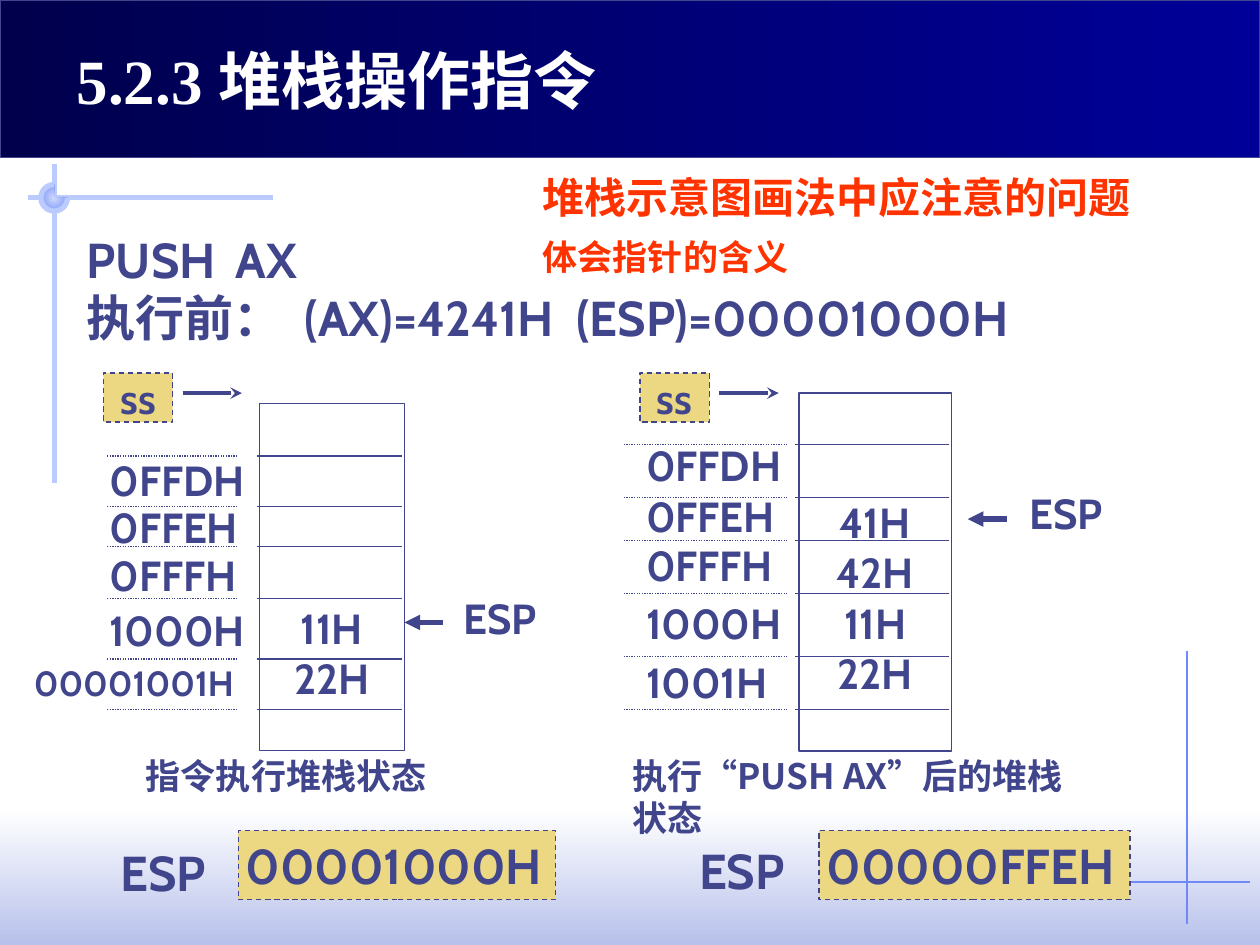
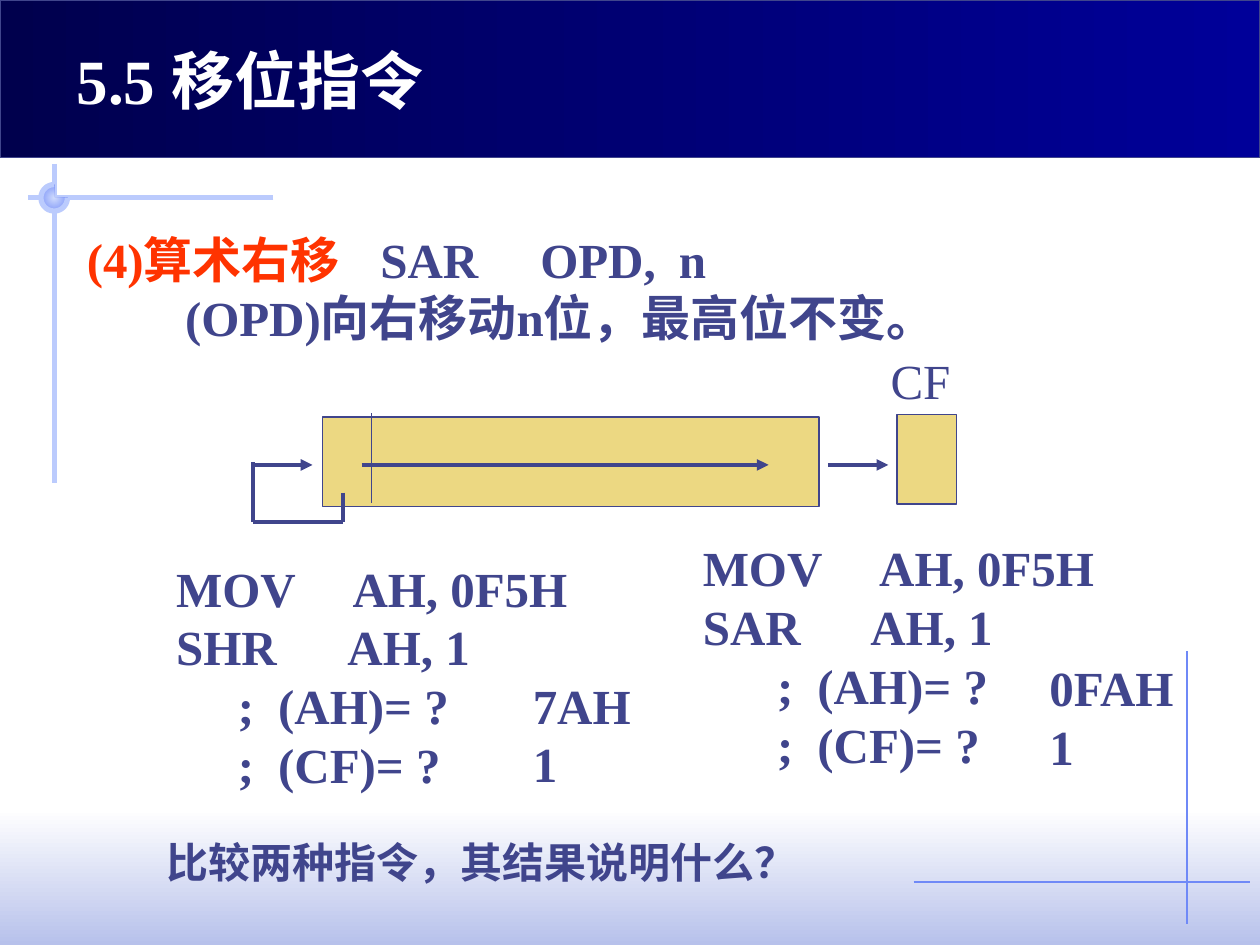
from math import cos, pi, sin

from lxml.etree import SubElement
from pptx import Presentation
from pptx.dml.color import RGBColor
from pptx.enum.dml import MSO_LINE
from pptx.enum.shapes import MSO_CONNECTOR, MSO_SHAPE
from pptx.enum.text import MSO_ANCHOR, PP_ALIGN
from pptx.oxml.ns import qn
from pptx.util import Inches, Pt

INK, RED, WHITE, GOLD = "40458C", "FF3300", "FFFFFF", "ECD882"
RULE, PALE, SOFT = "6F89F7", "BBCBFD", "CFDBFD"
SERIF, SANS, CJK = "Times New Roman", "Cabin", "Noto Sans CJK SC"


def rgb(code):
    """Turn a hex string into a colour."""
    return RGBColor.from_string(code)


def style_run(span, size, font, color, bold):
    """Set the size, typefaces, colour and weight of a run."""
    span.font.size = Pt(size)
    span.font.name = font
    span.font.bold = bold
    span.font.color.rgb = rgb(color)
    properties = span.font._element
    east_asian = SubElement(properties, qn("a:ea"))
    east_asian.set("typeface", CJK)


def set_tabs(para, stops):
    """Give a paragraph left tab stops, in inches."""
    tab_list = SubElement(para._p.get_or_add_pPr(), qn("a:tabLst"))
    for stop in stops:
        SubElement(tab_list, qn("a:tab"), pos=str(Inches(stop)), algn="l")


def write(shape, lines, size, font=SANS, color=INK, bold=True,
          align=PP_ALIGN.LEFT, tabs=()):
    """Fill a shape with lines; tabs holds the tab stops of each line."""
    frame = shape.text_frame
    frame.text = "\n".join(lines)
    for index, para in enumerate(frame.paragraphs):
        if index < len(tabs):
            set_tabs(para, tabs[index])
        para.alignment = align
        para.line_spacing = Pt(size * 1.2)
        for span in para.runs:
            style_run(span, size, font, color, bold)


def add_text(page, left, top, width, lines, size, **style):
    """Add a wrapping text box as tall as its lines."""
    height = 0.1 + len(lines) * size / 60
    box = page.shapes.add_textbox(Inches(left), Inches(top),
                                  Inches(width), Inches(height))
    box.text_frame.word_wrap = True
    write(box, lines, size, **style)
    return box


def add_box(page, left, top, width, height, fill=None, line=INK, dash=None):
    """Add a rectangle with an optional plain fill and outline."""
    box = page.shapes.add_shape(MSO_SHAPE.RECTANGLE, Inches(left), Inches(top),
                                Inches(width), Inches(height))
    box.shadow.inherit = False
    if fill:
        box.fill.solid()
        box.fill.fore_color.rgb = rgb(fill)
    if line:
        box.line.color.rgb = rgb(line)
        box.line.width = Pt(0.75)
        box.line.dash_style = dash
    else:
        box.line.fill.background()
    return box


def add_line(page, start, end, color=INK, width=0.75, dash=None, arrow=None):
    """Draw a straight line, with an optional arrowhead at its end."""
    line = page.shapes.add_connector(MSO_CONNECTOR.STRAIGHT,
                                     *map(Inches, (*start, *end)))
    line.line.color.rgb = rgb(color)
    line.line.width = Pt(width)
    line.line.dash_style = dash
    if arrow:
        SubElement(line.line._get_or_add_ln(), qn("a:tailEnd"), type=arrow)
    SubElement(line._element.spPr, qn("a:effectLst"))


def fill_gradient(shape, first, last, angle=0, radial=False):
    """Fill a shape with a linear gradient or one from its centre."""
    shape.fill.gradient()
    for stop, color in zip(shape.fill.gradient_stops, (first, last)):
        stop.color.rgb = rgb(color)
    shape.fill.gradient_angle = angle
    if radial:
        gradient = shape._element.spPr.find(qn("a:gradFill"))
        gradient.remove(gradient.find(qn("a:lin")))
        shade = SubElement(gradient, qn("a:path"), path="circle")
        SubElement(shade, qn("a:fillToRect"),
                   **{side: "50000" for side in "ltrb"})


def add_three_quarters(page, center, radius, closed):
    """Draw three quarters of a circle, as a pie or as an open arc."""
    x, y = center
    points = [(Inches(x + radius * cos(angle)), Inches(y - radius * sin(angle)))
              for angle in (pi / 2 + step * pi / 32 for step in range(49))]
    if closed:
        points.append((Inches(x), Inches(y)))
    builder = page.shapes.build_freeform(*points[0])
    builder.add_line_segments(points[1:], close=closed)
    shape = builder.convert_to_shape()
    shape.shadow.inherit = False
    return shape


def add_page(deck, title):
    """Add a page with the shared band, rules, node and title."""
    page = deck.slides.add_slide(deck.slide_layouts[6])
    glow = add_box(page, 0, 6.42, 10, 1.08, line=None)
    fill_gradient(glow, WHITE, "B7C1EB", angle=270)
    add_line(page, (9.42, 5.17), (9.42, 7.33), RULE)
    add_line(page, (7.25, 7), (9.92, 7), RULE)
    add_line(page, (2.17, 1.57), (0.22, 1.57), PALE, 3)
    add_line(page, (0.43, 1.3), (0.43, 3.83), PALE, 3)
    node = add_three_quarters(page, (0.43, 1.57), 0.105, closed=True)
    fill_gradient(node, SOFT, RULE, radial=True)
    node.line.fill.background()
    ring = add_three_quarters(page, (0.43, 1.57), 0.105, closed=False)
    ring.fill.background()
    ring.line.color.rgb = rgb(PALE)
    ring.line.width = Pt(3)
    band = add_box(page, 0, 0, 10, 1.25)
    fill_gradient(band, "00004D", "000099")
    add_text(page, 0.51, 0.28, 7.4, [title], 36, font=SERIF, color=WHITE)
    return page


def add_stack(page, frame, rows, cells, values, bottom, guides):
    """Draw the stack column with its row lines, guides and values."""
    column = add_box(page, *frame, fill=WHITE)
    column.text_frame.vertical_anchor = MSO_ANCHOR.BOTTOM
    column.text_frame.margin_bottom = Inches(bottom)
    write(column, values, 24, align=PP_ALIGN.CENTER)
    for row in rows:
        add_line(page, (cells[0], row), (cells[1], row))
        add_line(page, (guides[0], row), (guides[1], row),
                 dash=MSO_LINE.ROUND_DOT)


def add_segment(page, left):
    """Add the stack segment tag and its arrow."""
    tag = add_box(page, left, 2.96, 0.55, 0.39, GOLD, dash=MSO_LINE.DASH)
    tag.text_frame.word_wrap = False
    tag.text_frame.vertical_anchor = MSO_ANCHOR.MIDDLE
    write(tag, ["ss"], 24, align=PP_ALIGN.CENTER)
    add_line(page, (left + 0.63, 3.12), (left + 1.1, 3.12), width=2.25,
             arrow="stealth")


def add_addresses(page, left, tops):
    """Label stack rows with their addresses."""
    for address, top in tops.items():
        add_text(page, left, top, 1.5, [address], 24)


def add_pointer(page, tip, y, label_left, label_top):
    """Mark the row that ESP points at."""
    add_line(page, (tip + 0.31, y), (tip, y), width=3, arrow="triangle")
    add_text(page, label_left, label_top, 0.95, ["ESP"], 24)


def add_register(page, label_left, label_top, left, width, value):
    """Show the value of ESP in a dashed box."""
    add_text(page, label_left, label_top, 1.02, ["ESP"], 28)
    box = add_box(page, left, 6.59, width, 0.55, GOLD, dash=MSO_LINE.DASH)
    box.text_frame.margin_left = Inches(0.06)
    box.text_frame.margin_right = 0
    box.text_frame.vertical_anchor = MSO_ANCHOR.MIDDLE
    write(box, [value], 28)


def build_stack_page(deck):
    """Build the page that compares the stack before and after PUSH."""
    page = add_page(deck, "5.2.3 堆栈操作指令")
    add_text(page, 0.59, 1.77, 8.38,
             ["PUSH\tAX", "执行前：\t(AX)=4241H\t(ESP)=00001000H"], 28,
             tabs=[[1.18], [1.73, 3.89]])
    add_text(page, 4.21, 1.31, 5.2, ["堆栈示意图画法中应注意的问题"], 24, color=RED)
    add_text(page, 4.21, 1.82, 2.68, ["体会指针的含义"], 20, color=RED)

    add_segment(page, 0.82)
    add_stack(page, (2.06, 3.2, 1.15, 2.76),
              (3.62, 4.02, 4.34, 4.75, 5.23, 5.63), (2.04, 3.19),
              ["11H", "22H"], 0.38, (0.85, 1.88))
    add_addresses(page, 0.77, {"0FFDH": 3.56, "0FFEH": 3.93,
                               "0FFFH": 4.31, "1000H": 4.75})
    add_text(page, 0.17, 5.2, 2, ["00001001H"], 20)
    add_pointer(page, 3.21, 4.94, 3.58, 4.65)
    add_text(page, 1.06, 5.94, 2.7, ["指令执行堆栈状态"], 20)
    add_register(page, 0.86, 6.64, 1.89, 2.52, "00001000H")

    add_segment(page, 5.08)
    add_stack(page, (6.34, 3.12, 1.21, 2.84),
              (3.53, 3.95, 4.29, 4.71, 5.21, 5.63), (6.31, 7.53),
              ["41H", "42H", "11H", "22H"], 0.42, (4.95, 6.26))
    add_addresses(page, 5.03, {"0FFDH": 3.44, "0FFEH": 3.84, "0FFFH": 4.23,
                               "1000H": 4.69, "1001H": 5.16})
    add_pointer(page, 7.68, 4.12, 8.07, 3.82)
    add_text(page, 4.92, 5.94, 3.8, ["执行“PUSH AX”后的堆栈状态"], 20, font=CJK)
    add_register(page, 5.45, 6.62, 6.5, 2.47, "00000FFEH")


def add_code(page, left, top, mnemonic, operand_stop, question_stop):
    """List a shift example followed by its two questions."""
    question_tabs = [question_stop, question_stop + 0.32]
    add_text(page, left, top, 3.6,
             ["MOV\tAH, 0F5H", f"{mnemonic}\tAH, 1",
              "\t;\t(AH)= ?", "\t;\t(CF)= ?"], 28, font=SERIF,
             tabs=[[1.4], [operand_stop], question_tabs, question_tabs])


def build_shift_page(deck):
    """Build the page on the arithmetic right shift."""
    page = add_page(deck, "5.5 移位指令")
    intro = add_text(page, 0.59, 1.77, 8.35,
                     ["(4)算术右移", "\t(OPD)向右移动n位，最高位不变。"], 28,
                     font=SERIF, tabs=[[2.33, 3.6, 4.7], [0.78]])
    heading = intro.text_frame.paragraphs[0]
    heading.runs[0].font.color.rgb = rgb(RED)
    syntax = heading.add_run()
    syntax.text = "\tSAR\tOPD,\tn"
    style_run(syntax, 28, SERIF, INK, True)

    add_box(page, 2.56, 3.31, 3.94, 0.71, GOLD)
    add_box(page, 7.12, 3.29, 0.47, 0.71, GOLD)
    add_text(page, 6.97, 2.73, 0.8, ["CF"], 28, font=SERIF, bold=False)
    add_line(page, (2.95, 3.28), (2.95, 3.99))
    for start, end in ((2.01, 2.48), (2.87, 6.1), (6.57, 7.05)):
        add_line(page, (start, 3.69), (end, 3.69), width=2.25, arrow="triangle")
    sign_loop = [(2.72, 3.91), (2.72, 4.14), (2.01, 4.14), (2.01, 3.67)]
    for start, end in zip(sign_loop, sign_loop[1:]):
        add_line(page, start, end, width=2.25)

    add_code(page, 1.3, 4.38, "SHR", 1.36, 0.49)
    add_code(page, 5.48, 4.22, "SAR", 1.33, 0.59)
    add_text(page, 4.13, 5.31, 1.22, ["7AH", "1"], 28, font=SERIF)
    add_text(page, 8.23, 5.17, 1.3, ["0FAH", "1"], 28, font=SERIF)
    add_text(page, 1.22, 6.59, 5.6, ["比较两种指令，其结果说明什么？"], 24,
             font=SERIF)


def main():
    """Build the deck and save it."""
    deck = Presentation()
    deck.slide_width = Inches(10)
    deck.slide_height = Inches(7.5)
    build_stack_page(deck)
    build_shift_page(deck)
    deck.save("out.pptx")


if __name__ == "__main__":
    main()
